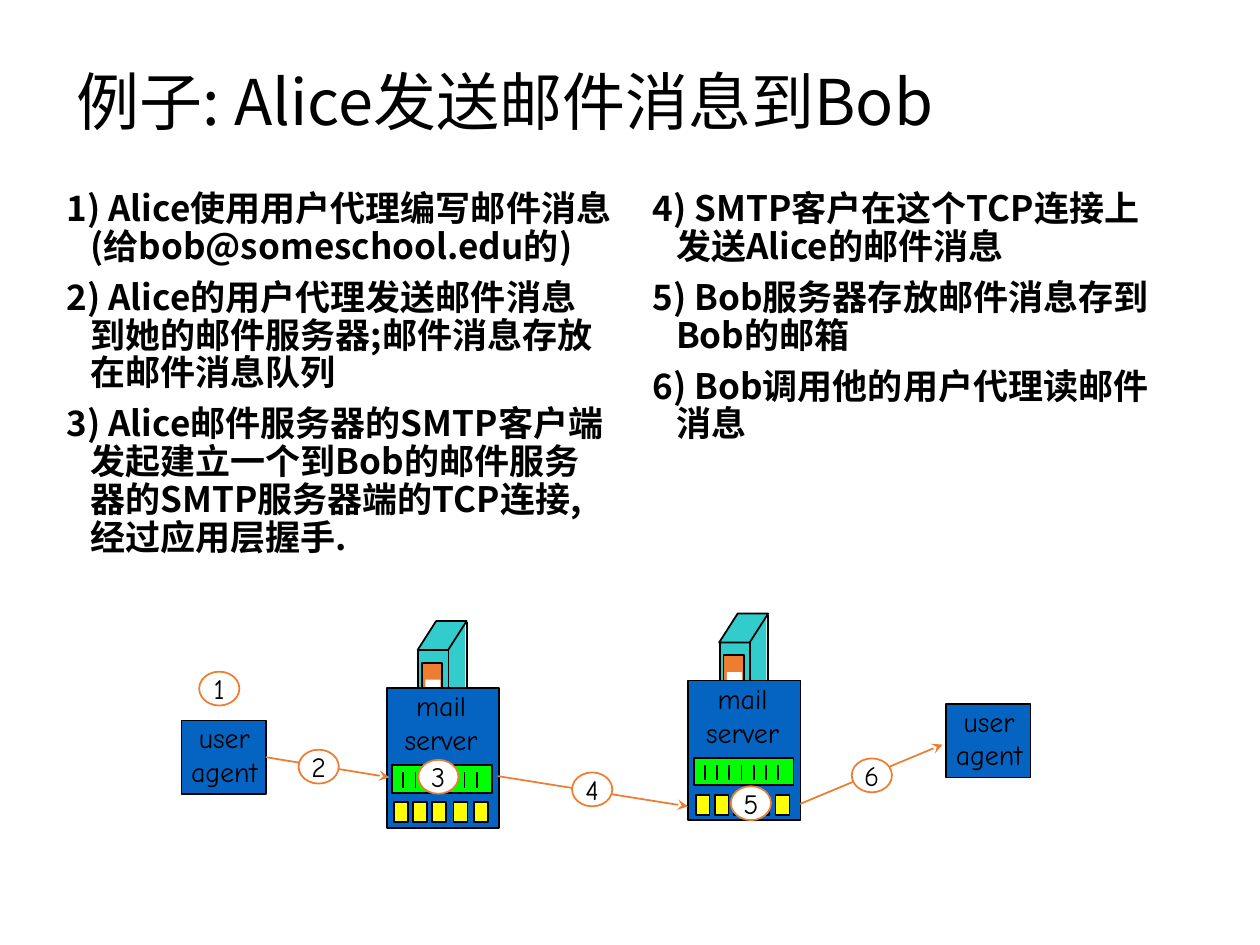
from pptx import Presentation
from pptx.dml.color import RGBColor
from pptx.enum import shapes, text
from pptx.oxml import parse_xml
from pptx.oxml.ns import nsdecls, qn
from pptx.util import Pt

BLACK = RGBColor(0x00, 0x00, 0x00)
WHITE = RGBColor(0xFF, 0xFF, 0xFF)
BLUE = RGBColor(0x05, 0x63, 0xC1)
TEAL = RGBColor(0x33, 0xCC, 0xCC)
ORANGE = RGBColor(0xED, 0x7D, 0x31)
GREEN = RGBColor(0x00, 0xFF, 0x00)
YELLOW = RGBColor(0xFF, 0xFF, 0x00)
TEXT_FONT = "Noto Sans CJK SC"
LABEL_FONT = "Comic Neue"
RECTANGLE = shapes.MSO_SHAPE.RECTANGLE

TITLE = "例子: Alice发送邮件消息到Bob"
COLUMNS = [
    ((31, 105.8, 326.2, 253.4), [
        "1) Alice使用用户代理编写邮件消息(给bob@someschool.edu的)",
        "2) Alice的用户代理发送邮件消息 到她的邮件服务器;邮件消息存放在邮件消息队列",
        "3) Alice邮件服务器的SMTP客户端发起建立一个到Bob的邮件服务器的SMTP服务器端的TCP连接,经过应用层握手.",
    ]),
    ((365.8, 105.8, 300.2, 257), [
        "4) SMTP客户在这个TCP连接上发送Alice的邮件消息",
        "5) Bob服务器存放邮件消息存到 Bob的邮箱",
        "6) Bob调用他的用户代理读邮件消息",
    ]),
]
AGENTS = [(103.7, 411.8), (540.7, 402.5)]
SERVERS = [(221, 393.1), (393.3, 388.8)]
MAILBOX_OFFSETS = [4.3, 15.1, 25.9, 38.2, 49.9]
TICK_COUNT = 7
ROUTES = [
    (151.9, 432.7, 222.5, 444.2),
    (284.4, 443.5, 393.1, 460.8),
    (457.2, 459.4, 538.6, 425.5),
]
STEPS = [(113.8, 383.8), (170.6, 428.4), (239, 434.2),
         (326.9, 441.4), (417.6, 449.3), (486.7, 433.4)]


def style_text(frame, font, size, bold=False):
    for para in frame.paragraphs:
        for span in para.runs:
            span.font.name = font
            span.font.size = Pt(size)
            span.font.bold = bold
            span.font.color.rgb = BLACK
            east_asian = span.font._element.find(qn("a:ea"))
            if east_asian is None:
                span.font._element.find(qn("a:latin")).addnext(
                    parse_xml(f'<a:ea {nsdecls("a")} typeface="{font}"/>'))


def add_block(target, kind, left, top, width, height, fill, line=BLACK):
    block = target.add_shape(kind, Pt(left), Pt(top), Pt(width), Pt(height))
    block.shadow.inherit = False
    block.fill.solid()
    block.fill.fore_color.rgb = fill
    if line is None:
        block.line.fill.background()
    else:
        block.line.color.rgb = line
        block.line.width = Pt(1)
    return block


def add_line(target, ends, color=BLACK, arrow=False):
    line = target.add_connector(shapes.MSO_CONNECTOR.STRAIGHT, *map(Pt, ends))
    line.line.color.rgb = color
    line.line.width = Pt(1)
    if arrow:
        line.line._get_or_add_ln().append(
            parse_xml(f'<a:tailEnd {nsdecls("a")} type="stealth"/>'))
    line._element.spPr.append(parse_xml(f'<a:effectLst {nsdecls("a")}/>'))
    return line


def add_label(target, words, left, top, width, height):
    box = target.add_textbox(Pt(left), Pt(top), Pt(width), Pt(height))
    frame = box.text_frame
    frame.word_wrap = False
    frame.auto_size = text.MSO_AUTO_SIZE.SHAPE_TO_FIT_TEXT
    frame.text = words
    for para in frame.paragraphs:
        para.alignment = text.PP_ALIGN.CENTER
    style_text(frame, LABEL_FONT, 16)


def add_agent(page, left, top):
    group = page.shapes.add_group_shape().shapes
    block = add_block(group, RECTANGLE, left, top, 48.2, 41.8, BLUE)
    add_label(group, "user\nagent", left - 3.6, top - 3.6, 56.2, 46.1)
    return block


def add_server(page, left, top):
    group = page.shapes.add_group_shape().shapes
    add_block(group, RECTANGLE, left + 31.7, top - 38.2, 13, 56.2, TEAL, None)
    add_block(group, RECTANGLE, left + 18, top - 21.6, 17.3, 56.2, TEAL)
    roof = add_block(group, shapes.MSO_SHAPE.PARALLELOGRAM,
                     left + 17.6, top - 38.2, 28.1, 16.6, TEAL)
    roof.adjustments[0] = 0.64
    add_line(group, (left + 45.7, top - 37.4, left + 45.7, top + 18))
    add_block(group, RECTANGLE, left + 20.2, top - 14.4, 11.5, 32.4, ORANGE)
    add_block(group, RECTANGLE, left + 22, top - 4.7, 8.6, 11.5, WHITE, None)
    add_block(group, RECTANGLE, left, top, 64.1, 79.9, BLUE)
    add_label(group, "mail\nserver", left - 0.7, top - 2.9, 63.4, 46.1)
    add_block(group, RECTANGLE, left + 3.2, top + 44.2, 56.9, 15.8, GREEN)
    for index in range(TICK_COUNT):
        tick = left + 9.4 + 7 * index
        add_line(group, (tick, top + 48.3, tick, top + 56.9))
    for offset in MAILBOX_OFFSETS:
        add_block(group, RECTANGLE, left + offset, top + 65.3, 7.9, 11.5, YELLOW)


def add_column(page, place, items):
    box = page.shapes.add_textbox(*map(Pt, place))
    frame = box.text_frame
    frame.word_wrap = True
    frame.text = "\n".join(items)
    for index, para in enumerate(frame.paragraphs):
        para.line_spacing = 0.9
        para.space_before = Pt(7.5 if index else 0)
        properties = para._p.get_or_add_pPr()
        properties.set("marL", str(Pt(13.5)))
        properties.set("indent", str(-Pt(13.5)))
    style_text(frame, TEXT_FONT, 20, bold=True)


def add_step(page, number, left, top):
    circle = add_block(page.shapes, shapes.MSO_SHAPE.OVAL,
                       left, top, 23, 19.4, WHITE, ORANGE)
    frame = circle.text_frame
    frame.word_wrap = False
    frame.vertical_anchor = text.MSO_ANCHOR.MIDDLE
    frame.text = str(number)
    frame.paragraphs[0].alignment = text.PP_ALIGN.CENTER
    style_text(frame, LABEL_FONT, 16)


def main():
    deck = Presentation()
    deck.slide_width, deck.slide_height = Pt(720), Pt(540)
    page = deck.slides.add_slide(deck.slide_layouts[5])

    title = page.shapes.title
    title.left, title.top, title.width, title.height = map(Pt, (36.7, 15.1, 648.7, 90))
    title.text_frame.text = TITLE
    title.text_frame.vertical_anchor = text.MSO_ANCHOR.MIDDLE
    title.text_frame.paragraphs[0].alignment = text.PP_ALIGN.LEFT
    title.text_frame.paragraphs[0].line_spacing = 0.9
    style_text(title.text_frame, TEXT_FONT, 36)

    for place, items in COLUMNS:
        add_column(page, place, items)
    sender, _ = [add_agent(page, *place) for place in AGENTS]
    for place in SERVERS:
        add_server(page, *place)
    routes = [add_line(page.shapes, ends, ORANGE, arrow=True) for ends in ROUTES]
    routes[0].begin_connect(sender, 3)
    for number, place in enumerate(STEPS, 1):
        add_step(page, number, *place)

    deck.save("out.pptx")


if __name__ == "__main__":
    main()
